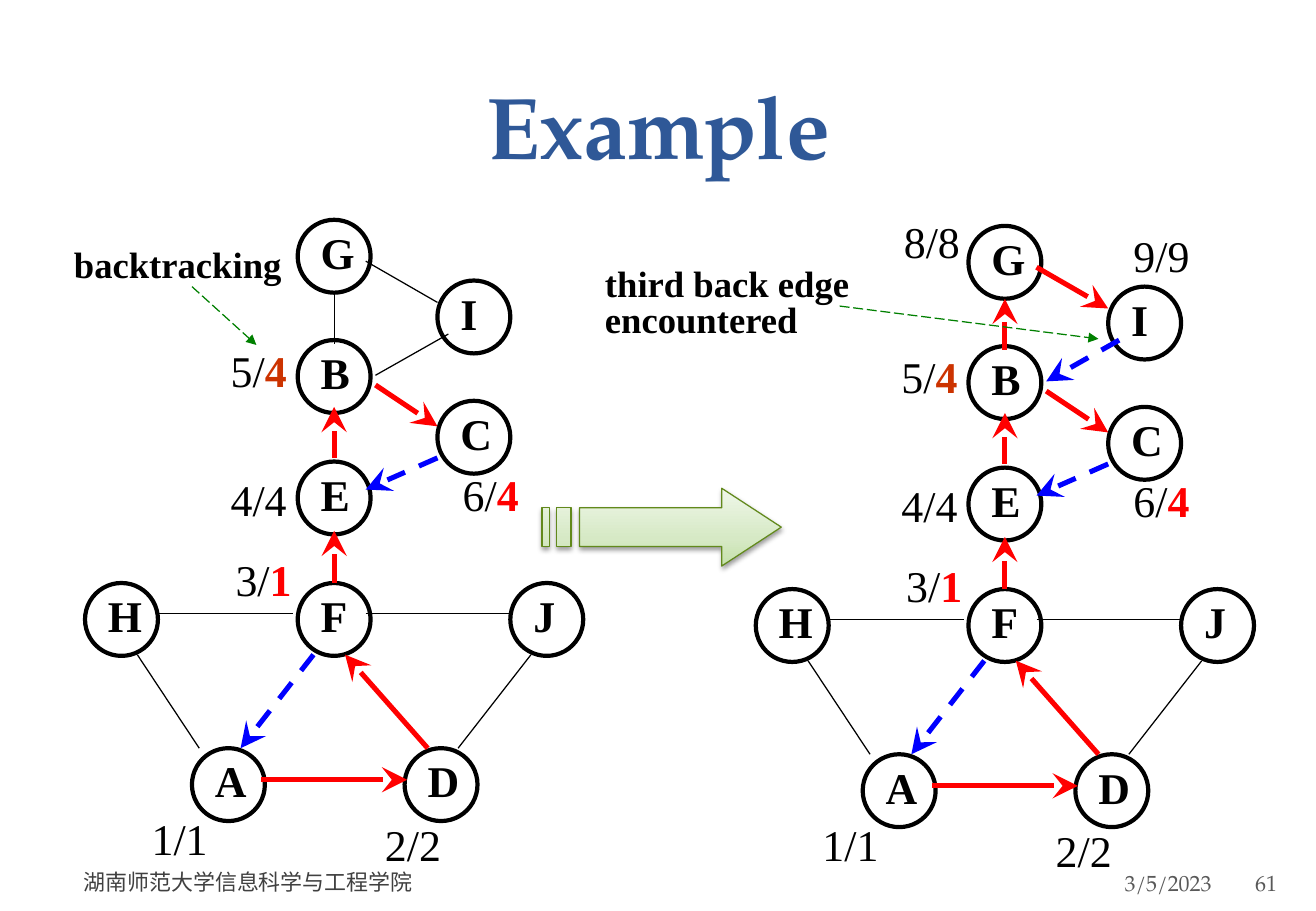
from dataclasses import dataclass

import lxml.etree
import pptx
import pptx.dml.color
import pptx.enum.dml
import pptx.enum.shapes
import pptx.enum.text
import pptx.oxml
import pptx.oxml.ns
import pptx.util

PX = 9144  # EMU per px, 100 px to the inch
TITLE_FONT = "TeX Gyre Pagella"
GRAPH_FONT = "Times New Roman"
COLORS = {
    "black": "000000", "title": "2F5897", "footer": "404040", "meta": "595959",
    "red": "FF0000", "rust": "CC3300", "blue": "0000FF", "green": "008000",
    "arrow_line": "62891C",
}
DASH = pptx.enum.dml.MSO_LINE.DASH
LONG_DASH = pptx.enum.dml.MSO_LINE.LONG_DASH
ANCHOR = pptx.enum.text.MSO_ANCHOR
ALIGN = pptx.enum.text.PP_ALIGN
qn = pptx.oxml.ns.qn


@dataclass
class Node:
    name: str
    x: int
    y: int


@dataclass
class EdgeStyle:
    color: str
    width: float
    dash: object = None
    head: str = ""
    head_size: str = "med"


@dataclass
class Edge:
    x1: int
    y1: int
    x2: int
    y2: int
    style: EdgeStyle


@dataclass
class Label:
    x: int
    y: int
    number: str
    low: str = ""
    low_color: str = "red"


@dataclass
class Caption:
    x: int
    y: int
    width: int
    height: int
    lines: list
    size: float
    color: str = "black"
    bold: bool = False
    font: str = TITLE_FONT
    align: object = ALIGN.LEFT
    anchor: object = ANCHOR.MIDDLE
    insets: tuple = (10, 5, 10, 5)
    spacing: object = None


PLAIN = EdgeStyle("black", 0.75)
TREE = EdgeStyle("red", 3, None, "stealth", "lg")
BACK = EdgeStyle("blue", 3, DASH, "stealth", "lg")
POINTER = EdgeStyle("green", 0.75, LONG_DASH, "triangle")

# Graph parts shared by both stages
NODES = [
    Node("G", 245, 181), Node("B", 245, 280), Node("E", 245, 380), Node("F", 245, 480),
    Node("I", 360, 231), Node("C", 360, 330), Node("H", 70, 480), Node("J", 420, 480),
    Node("A", 158, 616), Node("D", 333, 616),
]
EDGES = [
    Edge(275, 377, 275, 335, TREE), Edge(309, 317, 360, 351, TREE),
    Edge(360, 377, 301, 403, BACK), Edge(275, 480, 275, 437, TREE),
    Edge(130, 505, 241, 505, PLAIN), Edge(301, 505, 420, 505, PLAIN),
    Edge(113, 539, 164, 616, PLAIN), Edge(215, 642, 335, 642, TREE),
    Edge(377, 616, 437, 539, PLAIN), Edge(258, 539, 198, 616, BACK),
    Edge(352, 616, 284, 539, TREE),
]
LABELS = [
    Label(115, 663, "1/1"), Label(307, 668, "2/2"), Label(184, 450, "3/", "1"),
    Label(180, 384, "4/4"), Label(180, 278, "5/", "4", "rust"), Label(371, 380, "6/", "4"),
]

# The triangle G, B, I changes between the stages
OPEN_TRIANGLE = [
    Edge(275, 241, 275, 283, PLAIN), Edge(301, 215, 360, 249, PLAIN),
    Edge(309, 309, 369, 275, PLAIN),
]
VISITED_TRIANGLE = [
    Edge(275, 283, 275, 241, TREE), Edge(301, 215, 360, 249, TREE),
    Edge(369, 275, 309, 309, BACK),
]
VISITED_LABELS = [Label(182, 167, "8/8"), Label(371, 178, "9/9")]

CAPTIONS = [
    Caption(54, 36, 975, 115, ["Example"], 52, "title", True, align=ALIGN.CENTER,
            anchor=ANCHOR.BOTTOM, spacing=pptx.util.Pt(62.8)),
    Caption(64, 706, 682, 40, ["湖南师范大学信息科学与工程学院"], 13, "footer",
            insets=(5, 5, 10, 5)),
    Caption(755, 707, 247, 40, ["3/5/2023"], 13, "meta", align=ALIGN.RIGHT,
            insets=(10, 5, 5, 5)),
    Caption(1030, 707, 49, 40, ["61"], 13, "meta", insets=(3, 5, 5, 5)),
    Caption(51, 194, 469, 47, ["backtracking"], 21.7, bold=True, font=GRAPH_FONT,
            anchor=ANCHOR.TOP),
    Caption(488, 210, 469, 76, ["third back edge", "encountered"], 21.7, bold=True,
            font=GRAPH_FONT, anchor=ANCHOR.TOP),
]
POINTERS = [Edge(158, 236, 211, 284, POINTER), Edge(691, 252, 904, 279, POINTER)]


def rgb(name: str) -> pptx.dml.color.RGBColor:
    return pptx.dml.color.RGBColor.from_string(COLORS[name])


def draw_caption(page, caption: Caption):
    box = page.shapes.add_textbox(*(v * PX for v in (
        caption.x, caption.y, caption.width, caption.height)))
    frame = box.text_frame
    frame.word_wrap = True
    frame.vertical_anchor = caption.anchor
    (frame.margin_left, frame.margin_top,
     frame.margin_right, frame.margin_bottom) = (v * PX for v in caption.insets)
    frame.text = "\n".join(caption.lines)
    for index, para in enumerate(frame.paragraphs):
        para.alignment = caption.align
        para.line_spacing = 0.8 if index else caption.spacing
        para.font.name = caption.font
        para.font.size = pptx.util.Pt(caption.size)
        para.font.bold = caption.bold
        para.font.color.rgb = rgb(caption.color)
    return box


def draw_node(page, node: Node, dx: int, dy: int) -> None:
    x, y = node.x + dx, node.y + dy
    circle = page.shapes.add_shape(
        pptx.enum.shapes.MSO_SHAPE.OVAL, x * PX, y * PX, 60 * PX, 60 * PX)
    circle.shadow.inherit = False
    circle.fill.background()
    circle.line.color.rgb = rgb("black")
    circle.line.width = pptx.util.Pt(2.5)
    draw_caption(page, Caption(x + 9, y, 51, 54, [node.name], 26, bold=True,
                               font=GRAPH_FONT, anchor=ANCHOR.TOP))


def draw_edge(page, edge: Edge, dx: int = 0, dy: int = 0) -> None:
    style = edge.style
    line = page.shapes.add_connector(
        pptx.enum.shapes.MSO_CONNECTOR.STRAIGHT, (edge.x1 + dx) * PX, (edge.y1 + dy) * PX,
        (edge.x2 + dx) * PX, (edge.y2 + dy) * PX)
    line.line.color.rgb = rgb(style.color)
    line.line.width = pptx.util.Pt(style.width)
    if style.dash:
        line.line.dash_style = style.dash
    properties = line._element.spPr
    if style.head:
        lxml.etree.SubElement(properties.find(qn("a:ln")), qn("a:tailEnd"), type=style.head,
                              w=style.head_size, len=style.head_size)
    lxml.etree.SubElement(properties, qn("a:effectLst"))


def draw_label(page, label: Label, dx: int, dy: int) -> None:
    box = draw_caption(page, Caption(label.x + dx, label.y + dy, 160, 54, [label.number], 26,
                                     font=GRAPH_FONT, anchor=ANCHOR.TOP))
    if label.low:
        span = box.text_frame.paragraphs[0].add_run()
        span.text = label.low
        span.font.bold = True
        span.font.color.rgb = rgb(label.low_color)


def draw_stage(page, dx: int, dy: int, edges: list[Edge], labels: list[Label]) -> None:
    for node in NODES:
        draw_node(page, node, dx, dy)
    for edge in EDGES + edges:
        draw_edge(page, edge, dx, dy)
    for label in LABELS + labels:
        draw_label(page, label, dx, dy)


def draw_striped_arrow(page) -> None:
    outline = page.shapes.build_freeform(594, 402, scale=PX)
    outline.add_line_segments(
        [(594, 418), (477, 418), (477, 450), (594, 450), (594, 466), (643, 434)])
    for left, right in ((458, 470), (446, 452)):
        outline.move_to(left, 418)
        outline.add_line_segments([(left, 450), (right, 450), (right, 418)])
    arrow = outline.convert_to_shape()
    arrow.line.color.rgb = rgb("arrow_line")
    arrow.line.width = pptx.util.Pt(0.75)
    arrow.shadow.inherit = False
    properties = arrow._element.spPr
    namespace = pptx.oxml.ns.nsdecls("a")
    stops = "".join(f'<a:gs pos="{pos}000"><a:srgbClr val="{color}"/></a:gs>'
                    for pos, color in ((0, "C5E1AB"), (35, "D6E9C5"), (100, "EFF7E9")))
    properties.find(qn("a:custGeom")).addnext(pptx.oxml.parse_xml(
        f'<a:gradFill {namespace}><a:gsLst>{stops}</a:gsLst>'
        '<a:lin ang="16200000" scaled="0"/></a:gradFill>'))
    properties.find(qn("a:effectLst")).append(pptx.oxml.parse_xml(
        f'<a:outerShdw {namespace} blurRad="39370" dist="20320" dir="5400000" '
        'rotWithShape="0"><a:srgbClr val="000000"><a:alpha val="38000"/></a:srgbClr>'
        '</a:outerShdw>'))


def main() -> None:
    deck = pptx.Presentation()
    deck.slide_width, deck.slide_height = 1083 * PX, 750 * PX
    page = deck.slides.add_slide(deck.slide_layouts[6])
    draw_stage(page, 0, 0, OPEN_TRIANGLE, [])
    draw_stage(page, 552, 5, VISITED_TRIANGLE, VISITED_LABELS)
    for caption in CAPTIONS:
        draw_caption(page, caption)
    for pointer in POINTERS:
        draw_edge(page, pointer)
    draw_striped_arrow(page)
    deck.save("out.pptx")


if __name__ == "__main__":
    main()
